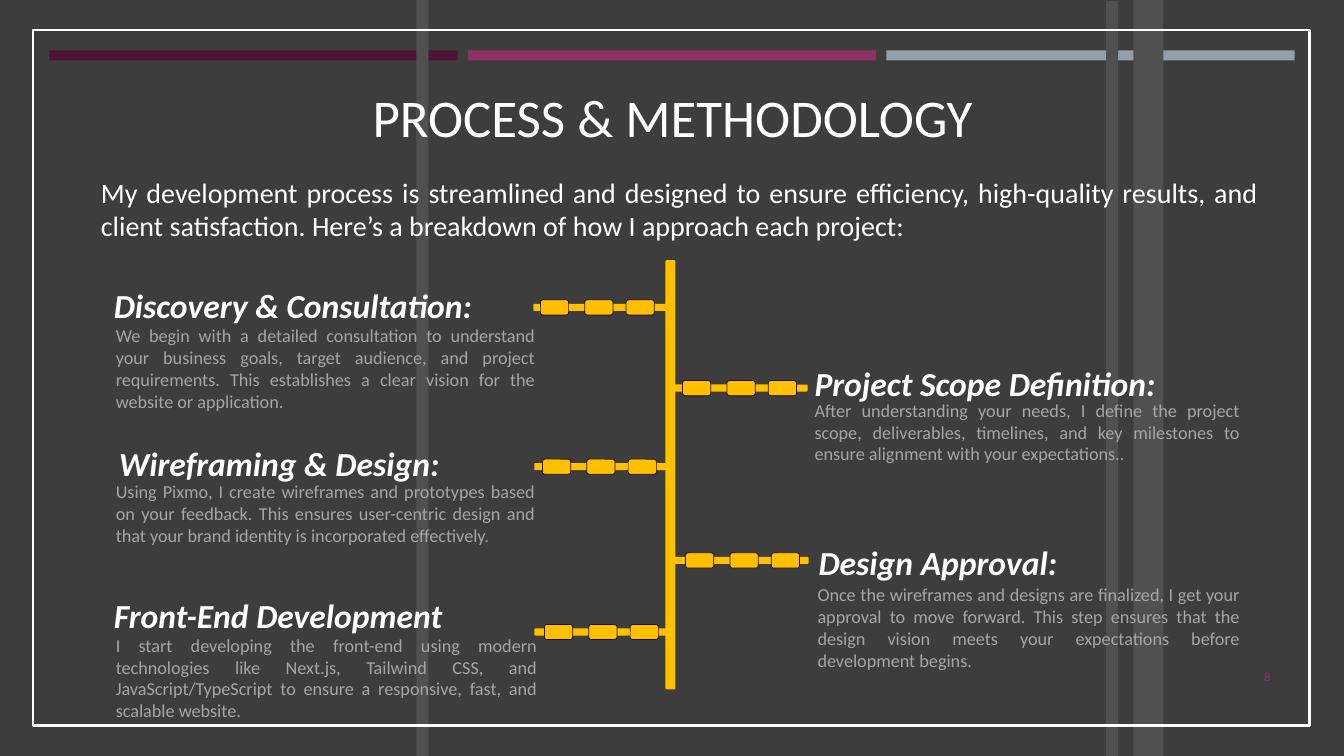
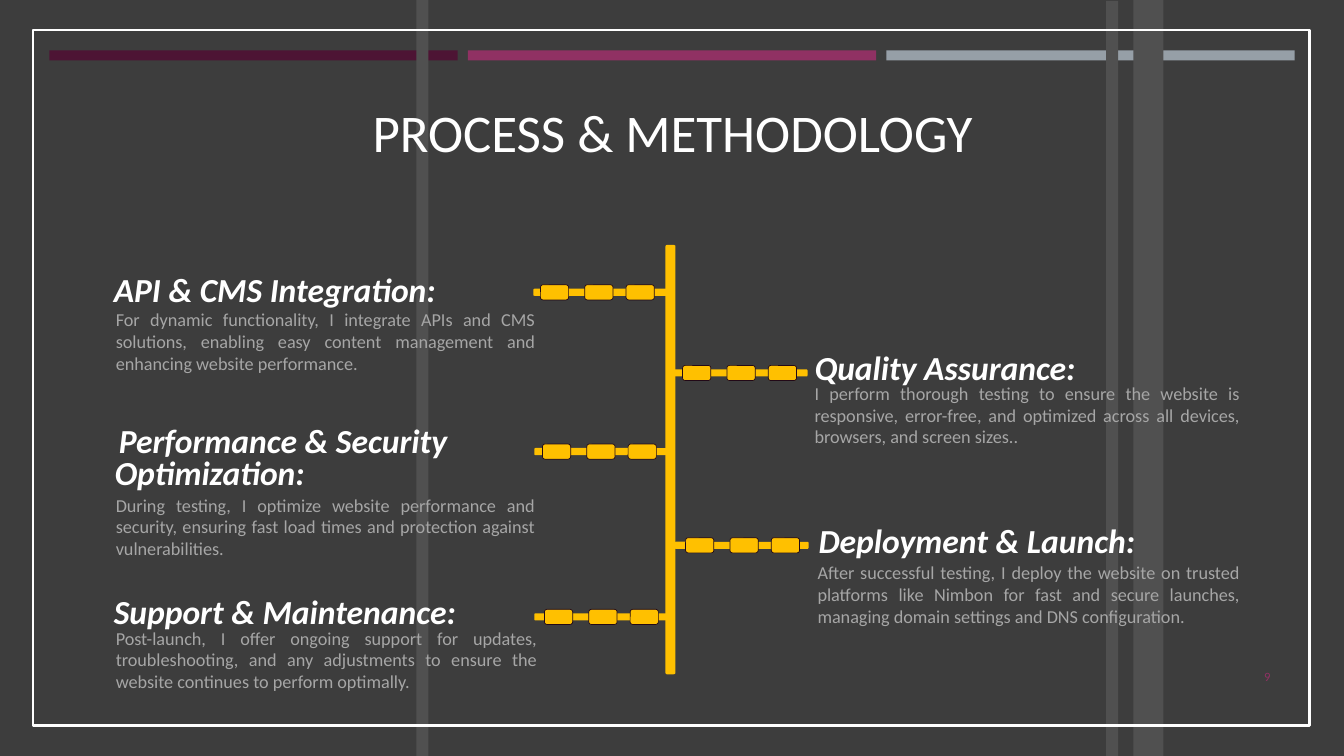
from dataclasses import dataclass
from typing import NamedTuple

from lxml.etree import SubElement
from pptx import Presentation
from pptx.dml.color import RGBColor
from pptx.enum.shapes import MSO_SHAPE as Preset
from pptx.enum.text import MSO_ANCHOR as Anchor, PP_ALIGN as Align
from pptx.oxml.ns import qn
from pptx.util import Inches, Pt

COLORS = {
    "background": "3D3D3D",
    "plum": "4D1434",
    "magenta": "903163",
    "steel": "969FA7",
    "stripe": "505050",
    "white": "FFFFFF",
    "muted": "A6A6A6",
    "gold": "FFC000",
    "link_edge": "220917",
}
FONT = "Calibri"
TITLE = "PROCESS & METHODOLOGY"
LINK_STEPS = (0, 0.44, 0.85)


class Box(NamedTuple):
    left: float
    top: float
    width: float
    height: float


class Branch(NamedTuple):
    drop: float
    bar_left: float
    first_link: float


@dataclass(frozen=True)
class Step:
    heading: str
    heading_left: float
    heading_top: float
    description: str
    left: float
    top: float
    width: float


@dataclass(frozen=True)
class ProcessPage:
    number: int
    title_top: float
    spine_top: float
    steps: tuple[Step, ...]
    intro: str = ""


BRANCHES = (
    Branch(0.47, 5.29, 5.36),
    Branch(1.27, 6.68, 6.77),
    Branch(2.05, 5.30, 5.38),
    Branch(2.98, 6.69, 6.80),
    Branch(3.69, 5.30, 5.40),
)

STRIPES = (
    Box(10.97, 0.01, 0.12, 7.49),
    Box(4.13, 0, 0.12, 7.5),
    Box(11.24, 0, 0.3, 7.5),
)

PAGES = (
    ProcessPage(
        8, 0.74, 2.58,
        (
            Step("Discovery & Consultation:", 1.03, 2.78,
                 "We begin with a detailed consultation to understand your business goals, "
                 "target audience, and project requirements. This establishes a clear vision "
                 "for the website or application.", 1.05, 3.17, 4.35),
            Step("Project Scope Definition:", 7.98, 3.55,
                 "After understanding your needs, I define the project scope, deliverables, "
                 "timelines, and key milestones to ensure alignment with your expectations..",
                 7.98, 3.91, 4.41),
            Step("Wireframing & Design:", 1.08, 4.34,
                 "Using Pixmo, I create wireframes and prototypes based on your feedback. "
                 "This ensures user-centric design and that your brand identity is "
                 "incorporated effectively.", 1.05, 4.72, 4.35),
            Step("Design Approval:", 8.02, 5.33,
                 "Once the wireframes and designs are finalized, I get your approval to move "
                 "forward. This step ensures that the design vision meets your expectations "
                 "before development begins.", 8.01, 5.74, 4.38),
            Step("Front-End Development", 1.03, 5.85,
                 "I start developing the front-end using modern technologies like Next.js, "
                 "Tailwind CSS, and JavaScript/TypeScript to ensure a responsive, fast, and "
                 "scalable website.", 1.05, 6.24, 4.37),
        ),
        "My development process is streamlined and designed to ensure efficiency, "
        "high-quality results, and client satisfaction. Here’s a breakdown of how I "
        "approach each project:",
    ),
    ProcessPage(
        9, 0.89, 2.43,
        (
            Step("API & CMS Integration:", 1.03, 2.62,
                 "For dynamic functionality, I integrate APIs and CMS solutions, enabling "
                 "easy content management and enhancing website performance.",
                 1.05, 3.01, 4.35),
            Step("Quality Assurance:", 7.98, 3.39,
                 "I perform thorough testing to ensure the website is responsive, error-free, "
                 "and optimized across all devices, browsers, and screen sizes..",
                 7.98, 3.74, 4.41),
            Step("Performance & Security", 1.08, 4.12,
                 "During testing, I optimize website performance and security, ensuring fast "
                 "load times and protection against vulnerabilities.", 1.05, 4.85, 4.35),
            Step("Deployment & Launch:", 8.02, 5.11,
                 "After successful testing, I deploy the website on trusted platforms like "
                 "Nimbon for fast and secure launches, managing domain settings and DNS "
                 "configuration.", 8.01, 5.52, 4.38),
            Step("Support & Maintenance:", 1.03, 5.81,
                 "Post-launch, I offer ongoing support for updates, troubleshooting, and any "
                 "adjustments to ensure the website continues to perform optimally.",
                 1.05, 6.17, 4.37),
        ),
    ),
)


def color(name: str) -> RGBColor:
    return RGBColor.from_string(COLORS[name])


def place(shape, box: Box) -> None:
    shape.left, shape.top, shape.width, shape.height = map(Inches, box)


def write(shape, text: str, *, size: float, fill: str = "white", align=Align.LEFT,
          anchor=Anchor.TOP, bold: bool = False, italic: bool = False,
          line_spacing: float = 1.0) -> None:
    frame = shape.text_frame
    frame.word_wrap = True
    frame.vertical_anchor = anchor
    paragraph = frame.paragraphs[0]
    paragraph.text = text
    paragraph.alignment = align
    paragraph.line_spacing = line_spacing
    paragraph.space_before = Pt(0)
    font = paragraph.runs[0].font
    font.name, font.size = FONT, Pt(size)
    font.bold, font.italic = bold, italic
    font.color.rgb = color(fill)


def add_text(slide, box: Box, text: str, **text_format) -> None:
    write(slide.shapes.add_textbox(*map(Inches, box)), text, **text_format)


def add_heading(slide, left: float, top: float, text: str) -> None:
    add_text(slide, Box(left, top, 4.65, 0.54), text, size=24, bold=True, italic=True)


def add_block(slide, box: Box, *, preset=Preset.RECTANGLE, fill: str = "",
              line: str = "", line_width: float = 0.5):
    shape = slide.shapes.add_shape(preset, *map(Inches, box))
    shape.shadow.inherit = False
    if fill:
        shape.fill.solid()
        shape.fill.fore_color.rgb = color(fill)
    else:
        shape.fill.background()
    if line:
        shape.line.color.rgb = color(line)
        shape.line.width = Pt(line_width)
    else:
        shape.line.fill.background()
    return shape


def move_backdrop_to_layout(slide, layout) -> None:
    layout.background.fill.solid()
    layout.background.fill.fore_color.rgb = color("background")
    blocks = [
        add_block(slide, Box(0.49 + 4.15 * index, 0.5, 4.05, 0.1), fill=fill)
        for index, fill in enumerate(("plum", "magenta", "steel"))
    ]
    blocks += [add_block(slide, box, fill="stripe") for box in STRIPES]
    blocks.append(add_block(slide, Box(0.33, 0.3, 12.66, 6.9), line="white", line_width=1.75))
    for block in blocks:
        layout.shapes.element.append(block.element)


def add_timeline(slide, spine_top: float) -> None:
    rounded = Preset.ROUNDED_RECTANGLE
    add_block(slide, Box(6.6, spine_top, 0.1, 4.26), preset=rounded, fill="gold")
    for branch in BRANCHES:
        middle = spine_top + branch.drop
        add_block(slide, Box(branch.bar_left, middle - 0.035, 1.33, 0.07),
                  preset=rounded, fill="gold")
        for step in LINK_STEPS:
            add_block(slide, Box(branch.first_link + step, middle - 0.075, 0.28, 0.15),
                      preset=rounded, fill="gold", line="link_edge")


def fill_intro(slide, text: str) -> None:
    body = slide.placeholders[1]
    if not text:
        body.element.getparent().remove(body.element)
        return
    place(body, Box(0.9, 1.75, 11.68, 0.67))
    properties = body.text_frame.paragraphs[0]._p.get_or_add_pPr()
    properties.set("marL", "0")
    properties.set("indent", "0")
    SubElement(properties, qn("a:buNone"))
    write(body, text, size=20, align=Align.JUSTIFY, anchor=Anchor.MIDDLE, line_spacing=0.97)


def fill_page(slide, page: ProcessPage) -> None:
    title = slide.shapes.title
    place(title, Box(0.42, page.title_top, 12.5, 0.78))
    write(title, TITLE, size=37.8, align=Align.CENTER, anchor=Anchor.BOTTOM)
    fill_intro(slide, page.intro)
    for step in page.steps:
        add_heading(slide, step.heading_left, step.heading_top, step.heading)
        add_text(slide, Box(step.left, step.top, step.width, 0.54), step.description,
                 size=13, fill="muted", align=Align.JUSTIFY)
    add_timeline(slide, page.spine_top)
    add_text(slide, Box(12, 6.59, 0.7, 0.26), str(page.number),
             size=9, fill="magenta", align=Align.RIGHT)


def main() -> None:
    presentation = Presentation()
    presentation.slide_width, presentation.slide_height = Inches(13.33), Inches(7.5)
    layout = presentation.slide_layouts[1]
    slides = [presentation.slides.add_slide(layout) for _ in PAGES]
    move_backdrop_to_layout(slides[0], layout)
    for slide, page in zip(slides, PAGES):
        fill_page(slide, page)
    add_heading(slides[1], 1.04, 4.43, "Optimization:")
    presentation.save("out.pptx")


if __name__ == "__main__":
    main()
